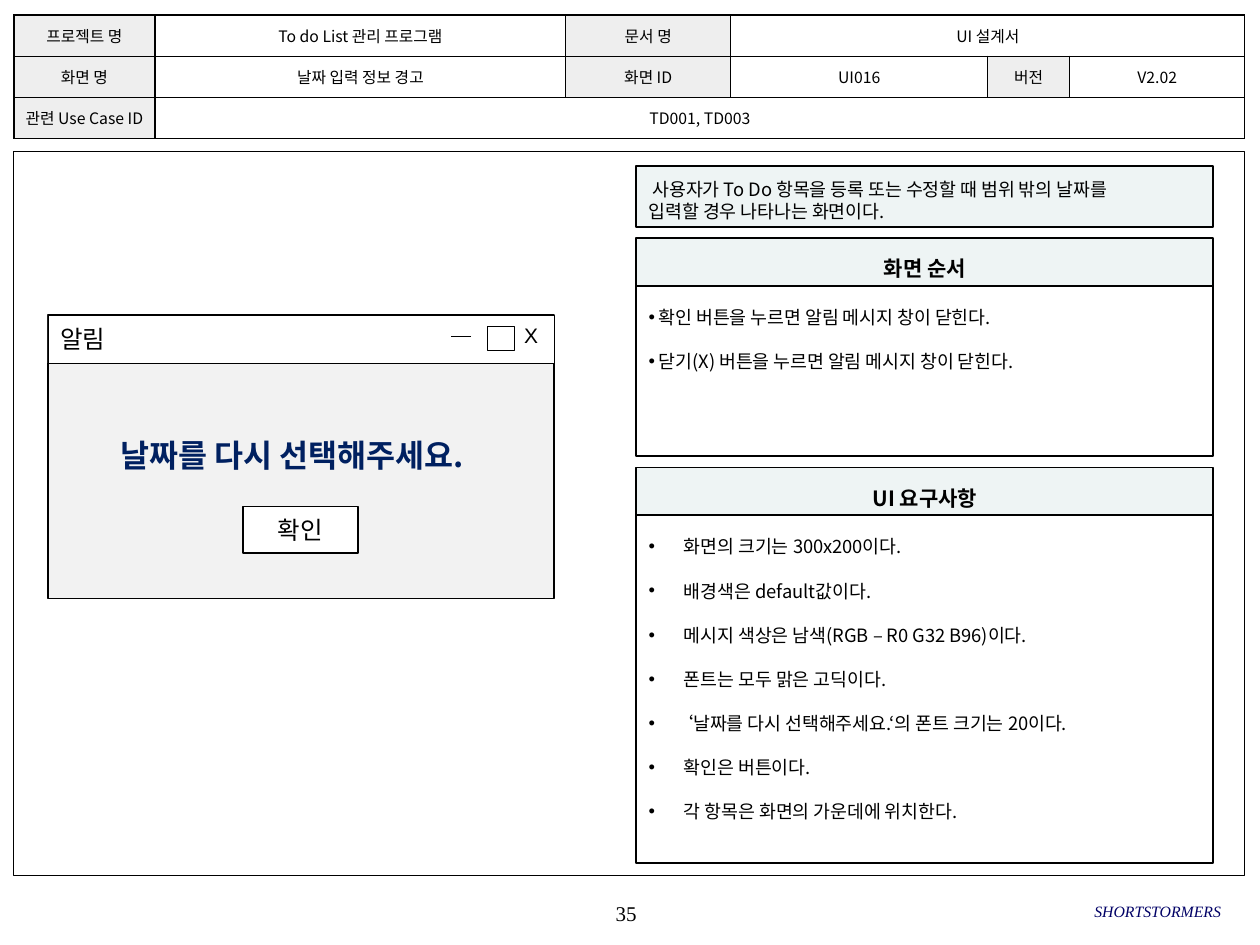
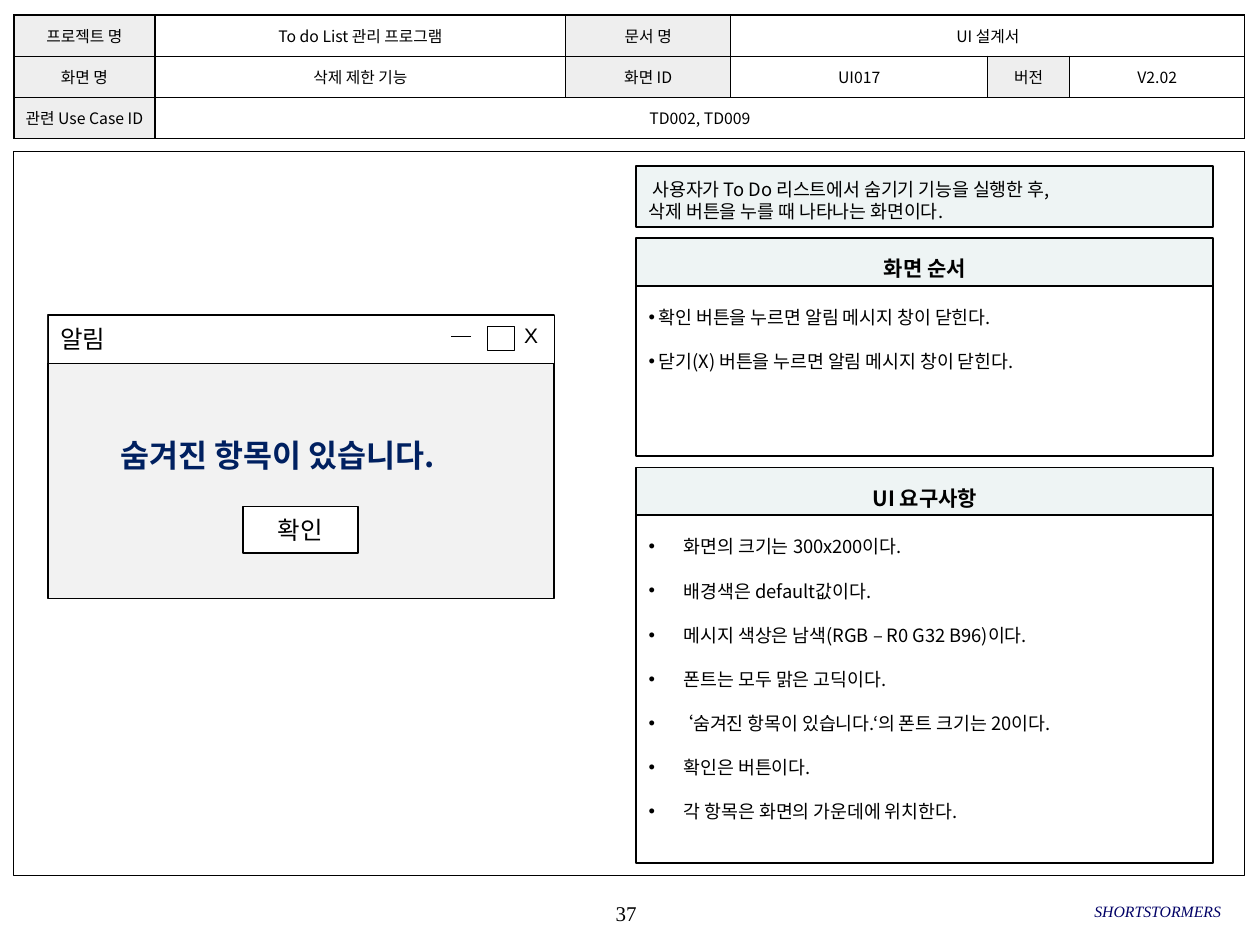
from lxml import etree
from pptx import Presentation
from pptx.dml.color import RGBColor
from pptx.enum import shapes, text
from pptx.oxml import ns
from pptx.util import Inches, Pt

COLORS = {
    "ink": "000000", "white": "FFFFFF", "panel": "EEF4F4", "label": "EEEEEE",
    "window": "F2F2F2", "message": "002060", "team": "000066",
}
KOREAN = "Noto Sans CJK KR"
SERIF = "Times New Roman"
LEFT, CENTER, RIGHT = text.PP_ALIGN.LEFT, text.PP_ALIGN.CENTER, text.PP_ALIGN.RIGHT
TOP, MIDDLE = text.MSO_ANCHOR.TOP, text.MSO_ANCHOR.MIDDLE
BODY_SIZE, BODY_PITCH = 10.5, 12.6
QUOTE_OVERHANG = 0.07

COLUMN_WIDTHS = [1.12, 3.26, 1.31, 2.04, 0.65, 1.39]
HEADER_BOX = (0.11, 0.12, 9.77, 0.98)
FRAME_BOX = (0.11, 1.2, 9.77, 5.75)
SUMMARY_BOX = (5.05, 1.32, 4.58, 0.48)
SEQUENCE_BOX = (5.05, 1.89, 4.58, 1.73)
REQUIREMENT_BOX = (5.05, 3.71, 4.58, 3.14)
DIALOG_BOX = (0.38, 2.5, 4.02, 2.25)
FOOTER_BOX = (3.93, 7.08, 5.76, 0.33)

SEQUENCE = [
    "확인 버튼을 누르면 알림 메시지 창이 닫힌다.",
    "닫기(X) 버튼을 누르면 알림 메시지 창이 닫힌다.",
]
SCREENS = [
    {
        "page": "35", "name": "날짜 입력 정보 경고", "id": "UI016",
        "use_cases": "TD001, TD003",
        "summary": ["사용자가 To Do 항목을 등록 또는 수정할 때 범위 밖의 날짜를",
                    "입력할 경우 나타나는 화면이다."],
        "message": "날짜를 다시 선택해주세요.", "message_width": 3.22,
    },
    {
        "page": "37", "name": "삭제 제한 기능", "id": "UI017",
        "use_cases": "TD002, TD009",
        "summary": ["사용자가 To Do 리스트에서 숨기기 기능을 실행한 후,",
                    "삭제 버튼을 누를 때 나타나는 화면이다."],
        "message": "숨겨진 항목이 있습니다.", "message_width": 2.97,
    },
]


def rgb(name):
    return RGBColor.from_string(COLORS[name])


def inches(box):
    return [Inches(value) for value in box]


# Text and shape helpers
def style_font(paragraph, size, name=KOREAN, color="ink", **flags):
    for run in paragraph.runs:
        for key, value in {"size": Pt(size), "name": name, **flags}.items():
            setattr(run.font, key, value)
        run.font.color.rgb = rgb(color)
        latin = run._r.rPr.find(ns.qn("a:latin"))
        east_asian = etree.Element(ns.qn("a:ea"), typeface=name)
        latin.addnext(east_asian)


def set_indent(paragraph, left, first, bullet=False):
    properties = paragraph._p.get_or_add_pPr()
    properties.set("marL", str(Inches(left)))
    properties.set("indent", str(Inches(first)))
    if bullet:
        etree.SubElement(properties, ns.qn("a:buFont"), typeface="Arial")
        etree.SubElement(properties, ns.qn("a:buChar"), char="•")


def write(shape, lines, size, align=LEFT, anchor=MIDDLE, insets=(0.1, 0.05, 0.1, 0.05),
          pitch=None, gap=0, **font):
    frame = shape.text_frame
    sides = ("margin_left", "margin_top", "margin_right", "margin_bottom")
    settings = dict(zip(sides, inches(insets)), word_wrap=True, vertical_anchor=anchor)
    for key, value in settings.items():
        setattr(frame, key, value)
    for index, line in enumerate(lines):
        paragraph = frame.add_paragraph() if index else frame.paragraphs[0]
        paragraph.text = line
        paragraph.alignment = align
        if pitch:
            paragraph.line_spacing = Pt(pitch)
        if index and gap:
            paragraph.space_before = Pt(gap)
        style_font(paragraph, size, **font)
    return frame.paragraphs


def add_box(slide, box, fill=None, line_width=1):
    shape = slide.shapes.add_shape(shapes.MSO_SHAPE.RECTANGLE, *inches(box))
    shape.shadow.inherit = False
    if fill:
        shape.fill.solid()
        shape.fill.fore_color.rgb = rgb(fill)
    else:
        shape.fill.background()
    shape.line.color.rgb = rgb("ink")
    shape.line.width = Pt(line_width)
    return shape


def add_label(slide, box, line, size, **options):
    write(slide.shapes.add_textbox(*inches(box)), [line], size, **options)


# Document header table
def outline_cell(cell):
    properties = cell._tc.get_or_add_tcPr()
    for index, side in enumerate(("lnL", "lnR", "lnT", "lnB")):
        border = etree.Element(ns.qn(f"a:{side}"), w=str(Pt(1)))
        fill = etree.SubElement(border, ns.qn("a:solidFill"))
        etree.SubElement(fill, ns.qn("a:srgbClr"), val=COLORS["ink"])
        properties.insert(index, border)


def add_header_table(slide, box, screen):
    rows = [
        ["프로젝트 명", "To do List 관리 프로그램", "문서 명", "UI 설계서"],
        ["화면 명", screen["name"], "화면 ID", screen["id"], "버전", "V2.02"],
        ["관련 Use Case ID", screen["use_cases"]],
    ]
    columns = len(COLUMN_WIDTHS)
    table = slide.shapes.add_table(len(rows), columns, *inches(box)).table
    table.first_row = table.horz_banding = False
    for column, width in zip(table.columns, COLUMN_WIDTHS):
        column.width = Inches(width)
    for row_index, values in enumerate(rows):
        table.rows[row_index].height = Inches(box[3] / len(rows))
        for column_index in range(columns):
            cell = table.cell(row_index, column_index)
            is_label = column_index < len(values) and column_index % 2 == 0
            cell.fill.solid()
            cell.fill.fore_color.rgb = rgb("label" if is_label else "white")
            outline_cell(cell)
            cell.vertical_anchor = MIDDLE
            cell.margin_left = cell.margin_right = Inches(0.04)
            cell.margin_top = cell.margin_bottom = Inches(0.02)
            if column_index < len(values):
                paragraph = cell.text_frame.paragraphs[0]
                paragraph.text = values[column_index]
                paragraph.alignment = CENTER
                style_font(paragraph, 9)
        # The last value fills the rest of its row
        if len(values) < columns:
            table.cell(row_index, len(values) - 1).merge(table.cell(row_index, columns - 1))


# Description panels
def add_summary(slide, box, lines):
    paragraphs = write(add_box(slide, box, "panel"), lines, BODY_SIZE, anchor=TOP,
                       insets=(0.1, 0.09, 0.1, 0), pitch=BODY_PITCH)
    set_indent(paragraphs[0], 0, 0.03)


def add_panel(slide, box, title, items, indent):
    left, top, width, height = box
    title_height = 0.38
    heading = add_box(slide, (left, top, width, title_height), "panel")
    write(heading, [title], 12, CENTER, TOP, insets=(0.1, 0.14, 0.1, 0),
          pitch=14.4, bold=True)
    body = add_box(slide, (left, top + title_height, width, height - title_height), "white")
    paragraphs = write(body, items, BODY_SIZE, anchor=TOP, insets=(0.1, 0.16, 0.1, 0.05),
                       pitch=BODY_PITCH, gap=BODY_PITCH)
    for paragraph, item in zip(paragraphs, items):
        # A wide opening quote hangs to the left of the text edge
        hang = indent - QUOTE_OVERHANG if item.startswith("‘") else indent
        set_indent(paragraph, hang, -hang, bullet=True)


# Alert window mock-up
def add_dialog(slide, box, message, message_width):
    left, top, width, height = box
    add_box(slide, box, "window")
    add_label(slide, (left + 0.48, top + 0.91, message_width, 0.4), message, 18,
              color="message", bold=True)
    title_bar = add_box(slide, (left, top, width, 0.38), "white", 0.25)
    write(title_bar, ["알림"], 14)

    # Window controls: close, maximize, minimize
    right = left + width
    add_label(slide, (right - 0.25, top + 0.01, 0.13, 0.3), "X", 12, align=CENTER,
              insets=(0, 0, 0, 0), name="Arial")
    add_box(slide, (right - 0.53, top + 0.09, 0.21, 0.19), "white", 0.25)
    minimize = slide.shapes.add_connector(
        shapes.MSO_CONNECTOR.STRAIGHT,
        *inches((right - 0.66, top + 0.17, right - 0.82, top + 0.17)))
    minimize.line.color.rgb = rgb("ink")
    minimize.line.width = Pt(0.25)
    etree.SubElement(minimize._element.spPr, ns.qn("a:effectLst"))

    button = add_box(slide, (left + 1.55, top + 1.52, 0.91, 0.37), "white")
    write(button, ["확인"], 14, CENTER)


def add_footer(slide, box, page):
    left, top, width, height = box
    plain = {"insets": (0, 0, 0, 0), "name": SERIF}
    add_label(slide, (left, top, 2.08, height), page, 12, align=CENTER, **plain)
    add_label(slide, (left + width - 3.06, top - 0.01, 3.06, height), "SHORTSTORMERS", 9,
              align=RIGHT, color="team", italic=True, **plain)


def add_screen_slide(presentation, screen):
    slide = presentation.slides.add_slide(presentation.slide_layouts[6])
    requirements = [
        "화면의 크기는 300x200이다.",
        "배경색은 default값이다.",
        "메시지 색상은 남색(RGB – R0 G32 B96)이다.",
        "폰트는 모두 맑은 고딕이다.",
        f"‘{screen['message']}‘의 폰트 크기는 20이다.",
        "확인은 버튼이다.",
        "각 항목은 화면의 가운데에 위치한다.",
    ]
    add_box(slide, FRAME_BOX, line_width=0.75)
    add_summary(slide, SUMMARY_BOX, screen["summary"])
    add_panel(slide, SEQUENCE_BOX, "화면 순서", SEQUENCE, 0.08)
    add_panel(slide, REQUIREMENT_BOX, "UI 요구사항", requirements, 0.28)
    add_header_table(slide, HEADER_BOX, screen)
    add_dialog(slide, DIALOG_BOX, screen["message"], screen["message_width"])
    add_footer(slide, FOOTER_BOX, screen["page"])


def main():
    presentation = Presentation()
    presentation.slide_width, presentation.slide_height = Inches(10), Inches(7.5)
    for screen in SCREENS:
        add_screen_slide(presentation, screen)
    presentation.save("out.pptx")


if __name__ == "__main__":
    main()
